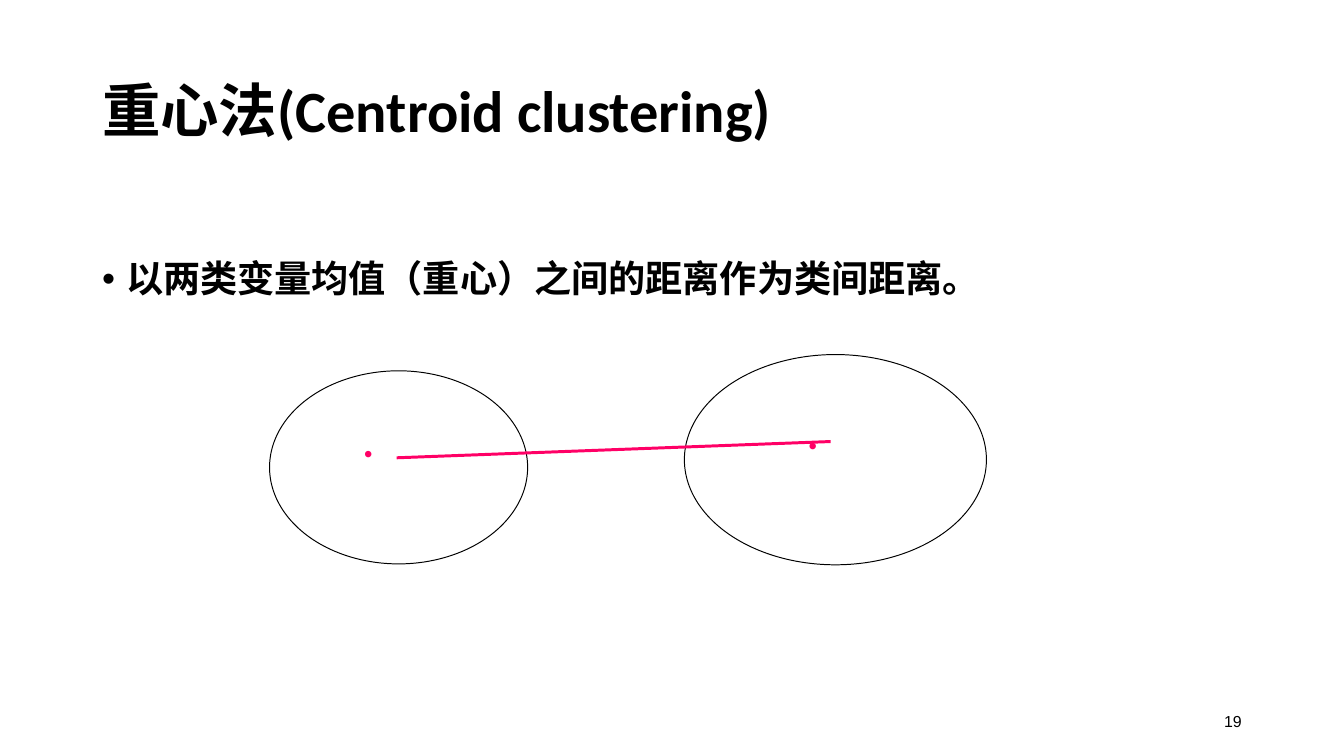
from pptx import Presentation
from pptx.dml.color import RGBColor
from pptx.enum.shapes import MSO_CONNECTOR as Link, MSO_SHAPE as Kind
from pptx.enum.text import MSO_ANCHOR as Anchor, PP_ALIGN as Align
from pptx.oxml.ns import qn
from pptx.util import Inches, Pt
from lxml.etree import SubElement

# Content: text, box in inches (left, top, width, height), format
WIDE, HIGH = 14.06, 7.91
BLACK, PINK = "000000", "FF0066"
EDGE, SPAN = 0.97, 12.13
HEAD = dict(size=44, face="Calibri", bold=True, space=0.9, anchor=Anchor.MIDDLE)
BODY = dict(size=28, face="Calibri", bold=True, space=0.9,
            align=Align.JUSTIFY, bullet="•")
PAGE = dict(size=12, align=Align.RIGHT, anchor=Anchor.MIDDLE)
DOT = dict(size=18, color=PINK)
TEXTS = [
    ("19", (9.93, 7.33, 3.16, 0.42), PAGE),
    ("重心法(Centroid clustering)", (EDGE, 0.42, SPAN, 1.53), HEAD),
    ("以两类变量均值（重心）之间的距离作为类间距离。", (EDGE, 2.68, SPAN, 4.45), BODY),
    ("•", (3.71, 4.54, 0.6, 0.4), DOT),
    ("•", (8.36, 4.46, 0.6, 0.4), DOT),
]
GROUPS = [(2.82, 3.88, 2.7, 2.02), (7.16, 3.71, 3.16, 2.2)]
GAP = (4.15, 4.79, 8.69, 4.62)

deck = Presentation()
deck.slide_width, deck.slide_height = Inches(WIDE), Inches(HIGH)
slide = deck.slides.add_slide(deck.slide_layouts[6])
shapes = slide.shapes


def inch(box):
    return [Inches(v) for v in box]


def paint(line, color, width):
    line.color.rgb = RGBColor.from_string(color)
    line.width = Pt(width)


def write(text, box, size, face="Arial", color=BLACK, bold=False, space=None,
          align=Align.LEFT, anchor=Anchor.TOP, bullet=None):
    frame = shapes.add_textbox(*inch(box)).text_frame
    frame.word_wrap = True
    frame.vertical_anchor = anchor
    para = frame.paragraphs[0]
    para.alignment = align
    if space:
        para.line_spacing = space
    if bullet:
        props = para._p.get_or_add_pPr()
        props.set("marL", str(Inches(0.25)))
        props.set("indent", str(-Inches(0.25)))
        SubElement(props, qn("a:buFont")).set("typeface", "Arial")
        SubElement(props, qn("a:buChar")).set("char", bullet)
    run = para.add_run()
    run.text = text
    font = run.font
    font.size, font.name, font.bold = Pt(size), face, bold
    font.color.rgb = RGBColor.from_string(color)


# Title, bullet, page number and centroid dots
for text, box, form in TEXTS:
    write(text, box, **form)

# The two clusters
for box in GROUPS:
    oval = shapes.add_shape(Kind.OVAL, *inch(box))
    oval.shadow.inherit = False
    oval.fill.background()
    paint(oval.line, BLACK, 0.75)

# Distance between the centroids
link = shapes.add_connector(Link.STRAIGHT, *inch(GAP))
paint(link.line, PINK, 2.25)
SubElement(link._element.spPr, qn("a:effectLst"))

deck.save("out.pptx")
